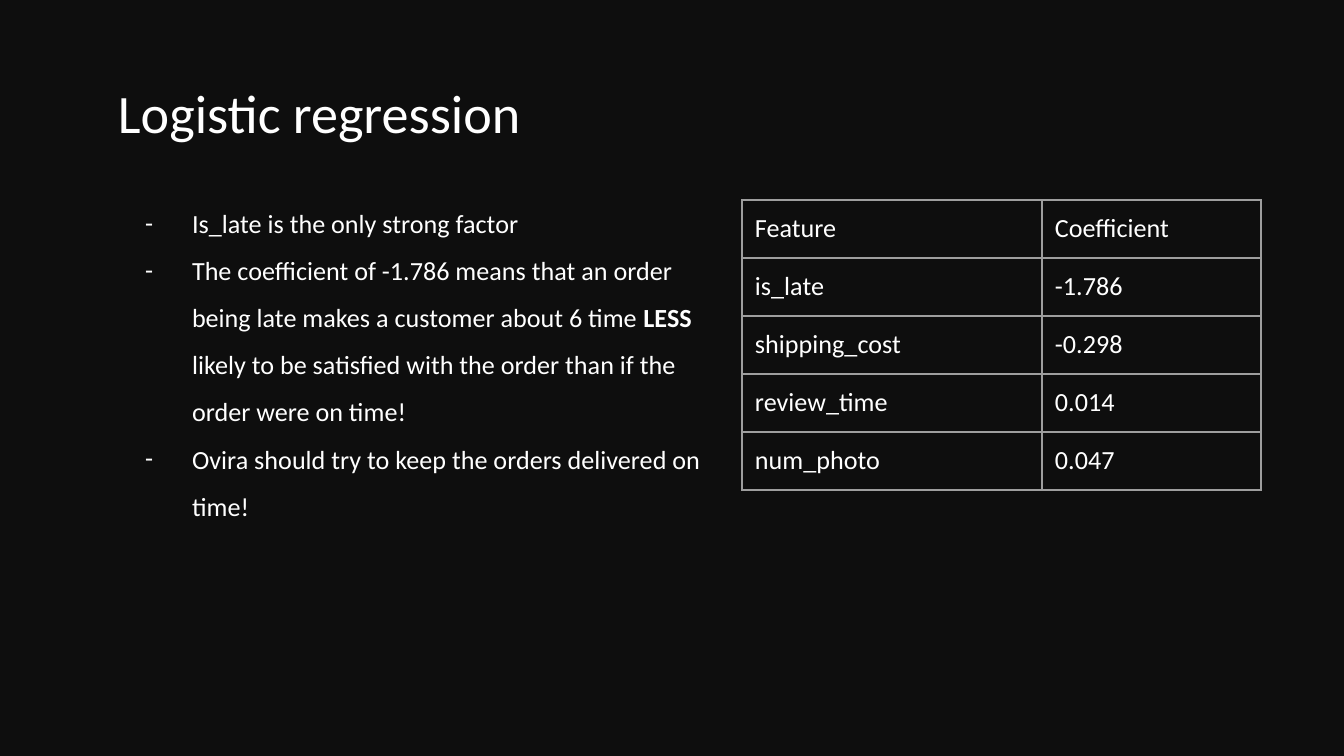
from dataclasses import dataclass

from lxml import etree
from pptx import Presentation
from pptx.dml.color import RGBColor
from pptx.enum.text import MSO_ANCHOR, MSO_AUTO_SIZE, PP_ALIGN
from pptx.oxml.ns import qn
from pptx.util import Pt

TOP = MSO_ANCHOR.TOP
GROW = MSO_AUTO_SIZE.SHAPE_TO_FIT_TEXT
NO_FIT = MSO_AUTO_SIZE.NONE
LEFT = PP_ALIGN.LEFT

EMU_PER_PX = 914400 / 134.4
INSET = 13


@dataclass(frozen=True)
class Theme:
    background: str = "0E0E0E"
    text: str = "FFFFFF"
    border: str = "9E9E9E"
    border_width: float = 0.75
    font: str = "Calibri"
    title_size: int = 29
    body_size: int = 14


THEME = Theme()

BULLETS = [
    [("Is_late is the only strong factor", False)],
    [
        ("The coefficient of -1.786 means that an order being late makes "
         "a customer about 6 time ", False),
        ("LESS", True),
        (" likely to be satisfied with the order than if the order "
         "were on time!", False),
    ],
    [("Ovira should try to keep the orders delivered on time!", False)],
]

COEFFICIENTS = [
    ("Feature", "Coefficient"),
    ("is_late", "-1.786"),
    ("shipping_cost", "-0.298"),
    ("review_time", "0.014"),
    ("num_photo", "0.047"),
]


def px(n):
    return round(n * EMU_PER_PX)


def add_text(p, text, size=THEME.body_size, bold=False, color=THEME.text):
    r = p.add_run()
    r.text = text
    r.font.name = THEME.font
    r.font.size = Pt(size)
    r.font.bold = bold
    r.font.color.rgb = RGBColor.from_string(color)


def set_margins(target, top=INSET):
    """Set the insets of a text frame or a table cell."""
    target.margin_left = target.margin_right = target.margin_bottom = px(INSET)
    target.margin_top = px(top)


def place(sp, left, top, width, height, auto_size, top_inset=INSET):
    """Move a placeholder and return its text frame, anchored at the top."""
    sp.left, sp.top, sp.width, sp.height = map(px, (left, top, width, height))
    tf = sp.text_frame
    tf.word_wrap = True
    tf.auto_size = auto_size
    tf.vertical_anchor = TOP
    set_margins(tf, top_inset)
    return tf


def add_color(parent, color):
    etree.SubElement(parent, qn("a:srgbClr"), val=color)


def set_dash_bullet(p):
    pPr = p._p.get_or_add_pPr()
    pPr.set("marL", str(px(67)))
    pPr.set("indent", str(-px(47)))
    add_color(etree.SubElement(pPr, qn("a:buClr")), THEME.text)
    etree.SubElement(pPr, qn("a:buFont"), typeface=THEME.font)
    etree.SubElement(pPr, qn("a:buChar"), char="-")


def set_borders(cell):
    tcPr = cell._tc.get_or_add_tcPr()
    for side in ("lnL", "lnR", "lnT", "lnB"):
        ln = etree.SubElement(tcPr, qn(f"a:{side}"), w=str(Pt(THEME.border_width)))
        add_color(etree.SubElement(ln, qn("a:solidFill")), THEME.border)


def fill_title(sp, text):
    tf = place(sp, 105, 79, 1134, 62, NO_FIT, top_inset=0)
    p = tf.paragraphs[0]
    p.alignment = LEFT
    add_text(p, text, size=THEME.title_size)


def fill_bullets(sp, items):
    tf = place(sp, 112, 179, 626, 439, GROW)
    for i, runs in enumerate(items):
        p = tf.add_paragraph() if i else tf.paragraphs[0]
        set_dash_bullet(p)
        p.line_spacing = 1.5
        p.space_before = Pt(0)
        for text, bold in runs:
            add_text(p, text, bold=bold)


def add_coefficient_table(s, rows, left=742, top=200, widths=(300, 219), row_height=58):
    frame = s.shapes.add_table(len(rows), len(widths), px(left), px(top),
                               px(sum(widths)), px(row_height * len(rows)))
    table = frame.table
    table.first_row = table.horz_banding = False
    for column, width in zip(table.columns, widths):
        column.width = px(width)
    for row, values in zip(table.rows, rows):
        row.height = px(row_height)
        for cell, value in zip(row.cells, values):
            set_margins(cell)
            set_borders(cell)
            cell.fill.background()
            add_text(cell.text_frame.paragraphs[0], value)


def main():
    prs = Presentation()
    prs.slide_width, prs.slide_height = px(1344), px(756)
    s = prs.slides.add_slide(prs.slide_layouts[1])
    s.background.fill.solid()
    s.background.fill.fore_color.rgb = RGBColor.from_string(THEME.background)
    fill_title(s.shapes.title, "Logistic regression")
    fill_bullets(s.placeholders[1], BULLETS)
    add_coefficient_table(s, COEFFICIENTS)
    prs.save("out.pptx")


if __name__ == "__main__":
    main()
